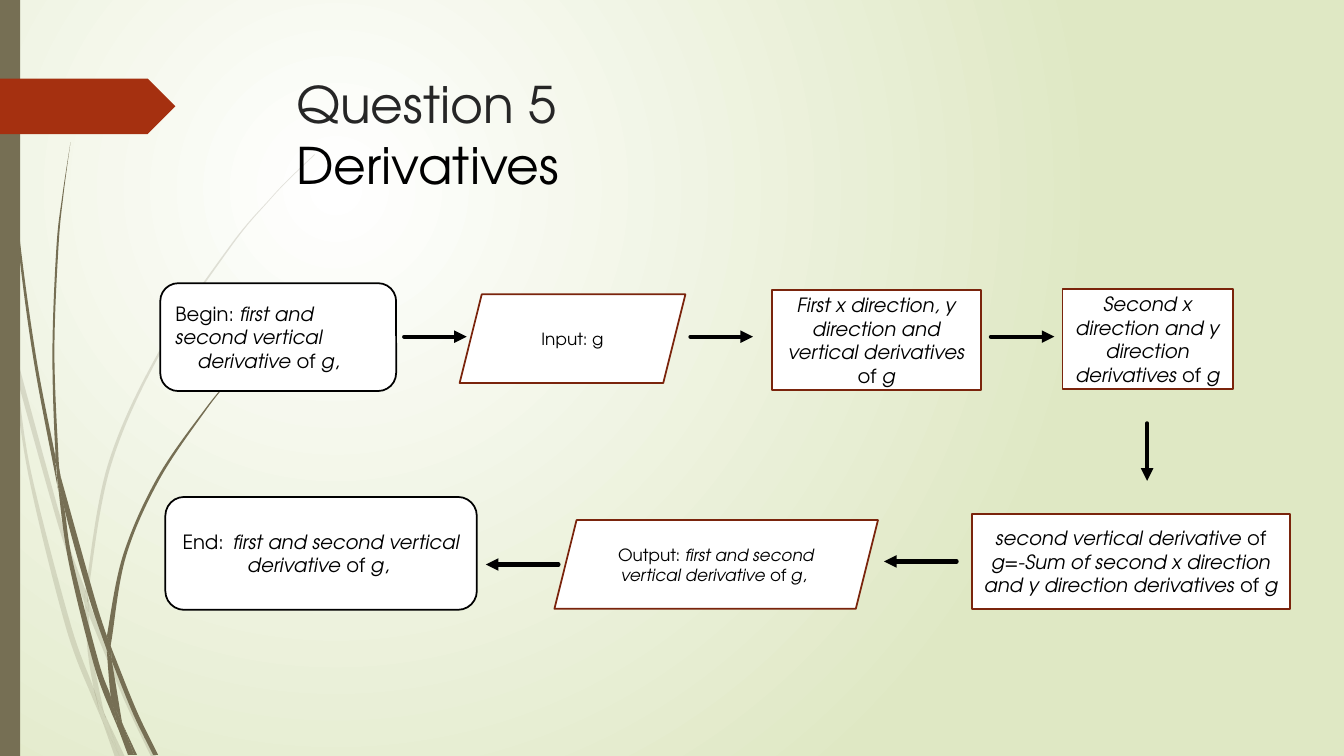
import lxml.etree
import pptx
import pptx.dml.color
import pptx.enum.shapes
import pptx.enum.text
import pptx.oxml.ns
import pptx.util

RGBColor = pptx.dml.color.RGBColor
Shape = pptx.enum.shapes.MSO_SHAPE
Align = pptx.enum.text.PP_ALIGN
Anchor = pptx.enum.text.MSO_ANCHOR
qn = pptx.oxml.ns.qn

WHITE = RGBColor(0xFF, 0xFF, 0xFF)
BLACK = RGBColor(0x00, 0x00, 0x00)
INK = RGBColor(0x26, 0x26, 0x26)
PALE_GREEN = RGBColor(0xDF, 0xE8, 0xC4)
OLIVE = RGBColor(0x76, 0x6F, 0x54)
RED = RGBColor(0xA5, 0x30, 0x10)
DARK_RED = RGBColor(0x7A, 0x24, 0x0C)
FONT = "TeX Gyre Adventor"

# The grid has ten cells to the inch; strands are drawn in tenths of a cell.
CELL = pptx.util.Inches(0.1)
COLUMNS, ROWS = 133.33, 75


def write(para, text, size=14, color=BLACK, align=Align.CENTER):
    """Add text to a paragraph; parts between asterisks are italic."""
    para.alignment = align
    for index, part in enumerate(text.split("*")):
        if part:
            span = para.add_run()
            span.text = part
            span.font.name = FONT
            span.font.size = pptx.util.Pt(size)
            span.font.color.rgb = color
            span.font.italic = index % 2 == 1


def curve(edge):
    """Return two Bezier handles and an end point for each step along the edge, in EMU."""
    padded = [edge[0], *edge, edge[-1]]
    points = []
    for before, start, end, after in zip(padded, padded[1:], padded[2:], padded[3:]):
        points.append([s + (e - b) / 6 for b, s, e in zip(before, start, end)])
        points.append([e - (a - s) / 6 for s, e, a in zip(start, end, after)])
        points.append(end)
    return [(x * CELL / 10, y * CELL / 10) for x, y in points]


deck = pptx.Presentation()
deck.slide_width = int(COLUMNS * CELL)
deck.slide_height = int(ROWS * CELL)
page = deck.slides.add_slide(deck.slide_layouts[5])

# Background: radial gradient
backdrop = page.background.fill
backdrop.gradient()
for stop, color in zip(backdrop.gradient_stops, (WHITE, PALE_GREEN)):
    stop.color.rgb = color
gradient = page.element.find(".//" + qn("a:gradFill"))
gradient.remove(gradient.find(qn("a:lin")))
circle = lxml.etree.SubElement(gradient, qn("a:path"), {"path": "circle"})
lxml.etree.SubElement(circle, qn("a:fillToRect"),
                      {"l": "50000", "t": "50000", "r": "100000", "b": "100000"})

# Grass strands: one edge out, the other edge back
faint_strands = [
    ([(0, 282), (9, 322), (11, 350)], [(10, 344), (0, 299)]),
    ([(14, 345), (62, 520), (85, 586)], [(84, 599), (58, 522), (17, 376)]),
    ([(88, 596), (92, 607), (127, 692), (155, 751)], [(150, 751), (123, 694), (88, 610)]),
    ([(105, 711), (124, 751)], [(119, 751), (105, 711)]),
    ([(11, 350), (17, 376), (31, 469), (70, 619), (93, 683), (99, 707), (101, 714)],
     [(92, 693), (65, 621), (28, 470), (11, 350)]),
    ([(84, 599), (88, 610), (91, 646), (103, 706), (105, 711)],
     [(96, 692), (93, 683), (87, 646), (84, 599)]),
    ([(88, 596), (88, 584), (110, 462), (160, 349), (229, 245), (268, 198), (290, 175), (312, 154)],
     [(312, 153), (289, 175), (268, 197), (228, 244), (158, 348), (107, 461), (85, 584), (85, 586)]),
    ([(101, 714), (114, 751)], [(119, 751), (101, 714)]),
    ([(85, 586), (88, 596), (88, 610)], [(88, 608), (84, 599)]),
    ([(93, 683), (96, 692), (105, 711), (119, 751)], [(101, 714), (99, 707), (93, 683)]),
]
solid_strands = [
    ([(3, 0), (4, 48), (7, 110), (17, 233), (33, 355), (56, 477), (57, 481)],
     [(55, 457), (55, 453), (36, 355), (19, 232), (8, 109), (5, 48), (4, 0)]),
    ([(60, 472), (93, 590), (106, 631)], [(106, 645), (88, 592), (64, 505), (60, 472)]),
    ([(110, 641), (113, 649), (136, 706), (157, 749)], [(152, 749), (132, 708), (111, 656)]),
    ([(57, 477), (64, 505), (72, 556), (98, 657), (110, 691), (116, 717), (117, 722)],
     [(111, 708), (93, 659), (68, 557), (57, 477)]),
    ([(60, 472), (58, 453), (54, 349), (58, 245), (63, 193), (70, 141)],
     [(70, 141), (62, 193), (56, 245), (52, 349), (55, 449), (60, 472)]),
    ([(122, 719), (136, 749)], [(133, 749), (122, 719)]),
    ([(55, 449), (60, 472), (64, 505)], [(57, 477), (55, 453)]),
    ([(110, 641), (111, 633), (125, 552), (158, 476), (205, 406), (231, 374), (245, 359), (261, 344)],
     [(260, 344), (245, 358), (231, 373), (204, 405), (156, 474), (122, 551), (106, 631)]),
    ([(117, 722), (127, 749)], [(131, 749), (117, 722)]),
    ([(106, 645), (109, 651), (111, 656), (121, 716), (122, 719)],
     [(116, 706), (110, 691), (106, 645)]),
    ([(106, 631), (110, 641), (111, 656)], [(109, 651), (106, 645)]),
    ([(110, 691), (116, 706), (122, 719), (133, 749)],
     [(130, 749), (117, 722), (116, 717), (110, 691)]),
]
for strands, opacity in ((faint_strands, 20), (solid_strands, 100)):
    tuft = page.shapes.add_group_shape()
    for edge_out, edge_back in strands:
        root = [value * CELL / 10 for value in edge_out[0]]
        turn = curve([edge_out[-1], edge_back[0]])
        builder = tuft.shapes.build_freeform(*root)
        builder.add_line_segments(curve(edge_out) + turn + curve(edge_back), close=True)
        strand = builder.convert_to_shape()
        strand.shadow.inherit = False
        strand.fill.solid()
        strand.fill.fore_color.rgb = OLIVE
        strand.line.fill.background()
        # Every three points become one Bezier segment
        corners = strand.element.findall(".//" + qn("a:lnTo"))
        for segment, *others in zip(corners[::3], corners[1::3], corners[2::3]):
            segment.tag = qn("a:cubicBezTo")
            for other in others:
                segment.append(other[0])
                other.getparent().remove(other)
        if opacity < 100:
            tint = strand.element.spPr.find(".//" + qn("a:srgbClr"))
            lxml.etree.SubElement(tint, qn("a:alpha"), {"val": str(opacity * 1000)})

# Side bar and ribbon
for kind, top, width, height, color in (
        (Shape.RECTANGLE, 0, 2, ROWS, OLIVE), (Shape.PENTAGON, 7.8, 17.4, 5.5, RED)):
    band = page.shapes.add_shape(kind, 0, int(top * CELL), int(width * CELL), int(height * CELL))
    band.shadow.inherit = False
    band.fill.solid()
    band.fill.fore_color.rgb = color
    band.line.fill.background()

# Title, in front of the strands
title = page.shapes.title
title.element.getparent().append(title.element)
title.left, title.top, title.width, title.height = (
    int(cells * CELL) for cells in (28.4, 6.8, 97.5, 14))
title.text_frame.vertical_anchor = Anchor.TOP
title.text_frame.word_wrap = True
heading = title.text_frame.paragraphs[0]
write(heading, "Question 5", size=36, color=INK, align=Align.LEFT)
heading.add_line_break()
write(heading, "Derivatives", size=36, align=Align.LEFT)

# Flowchart boxes: kind, place in cells, line colour, text size, text
terminal, process, data = Shape.ROUNDED_RECTANGLE, Shape.RECTANGLE, Shape.PARALLELOGRAM
steps = [
    (terminal, (15.9, 28.1, 23.4, 10.7), BLACK, 14, "Begin: *first and second vertical*"),
    (process, (105.4, 28.7, 16.9, 9.9), DARK_RED, 14,
     "*Second x direction and y direction derivatives *of *g*"),
    (terminal, (16.4, 49.3, 30.9, 11.2), BLACK, 14,
     "End: \t*first and second vertical derivative *of *g*, "),
    (process, (76.6, 28.8, 20.7, 9.9), DARK_RED, 14,
     "*First x direction, y direction and vertical derivatives *of *g*"),
    (data, (55, 51.6, 32.1, 8.8), DARK_RED, 12,
     "Output:* first and second vertical derivative *of *g*, "),
    (process, (96.4, 51, 31.6, 9.4), DARK_RED, 14,
     "*second vertical derivative *of *g*=-*Sum of second x direction "
     "and y direction derivatives *of *g*"),
    (data, (45.6, 29.2, 22.4, 8.8), DARK_RED, 12, "Input: g"),
]
boxes = []
for kind, place, color, size, text in steps:
    box = page.shapes.add_shape(kind, *(int(cells * CELL) for cells in place))
    box.shadow.inherit = False
    box.fill.solid()
    box.fill.fore_color.rgb = WHITE
    box.line.color.rgb = color
    box.line.width = pptx.util.Pt(1.25)
    box.text_frame.word_wrap = True
    box.text_frame.vertical_anchor = Anchor.MIDDLE
    write(box.text_frame.paragraphs[0], text, size=size)
    boxes.append(box)

# The first box is left-aligned, with an indented last line
begin = boxes[0].text_frame
begin.paragraphs[0].alignment = Align.LEFT
last_line = begin.add_paragraph()
write(last_line, "*derivative *of *g*,", align=Align.LEFT)
last_line._p.get_or_add_pPr().set("marL", str(int(2.2 * CELL)))

# Arrows, from and to in cells
for ends in ((40.1, 33.4, 46.3, 33.4), (68.5, 33.4, 74.7, 33.4), (98.3, 33.4, 104.6, 33.4),
             (113.8, 42, 113.8, 47.7), (94.9, 55.7, 87.7, 55.7), (55.4, 56, 48.2, 56)):
    arrow = page.shapes.add_connector(
        pptx.enum.shapes.MSO_CONNECTOR.STRAIGHT, *(int(cells * CELL) for cells in ends))
    arrow.line.color.rgb = BLACK
    arrow.line.width = pptx.util.Pt(3)
    properties = arrow.element.spPr
    stroke = properties.find(qn("a:ln"))
    stroke.set("cap", "rnd")
    lxml.etree.SubElement(stroke, qn("a:tailEnd"), {"type": "triangle"})
    lxml.etree.SubElement(properties, qn("a:effectLst"))

deck.save("out.pptx")
